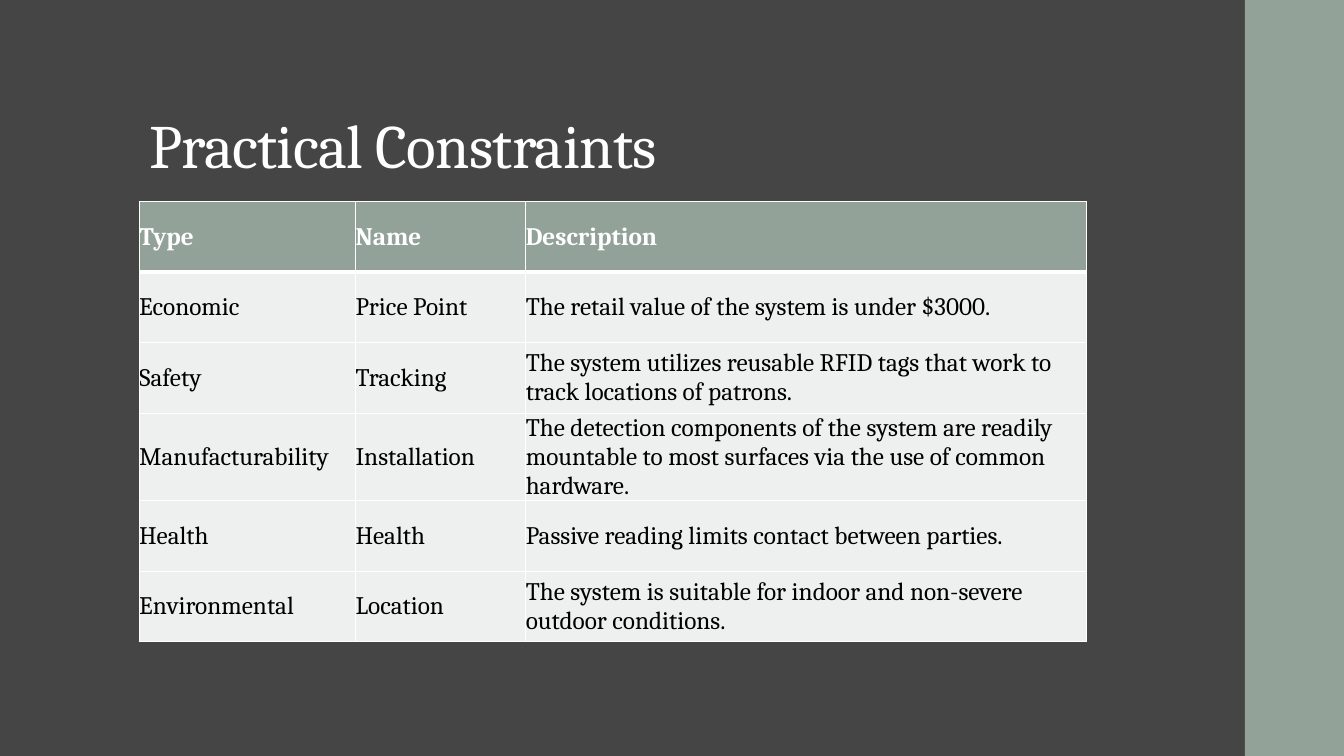
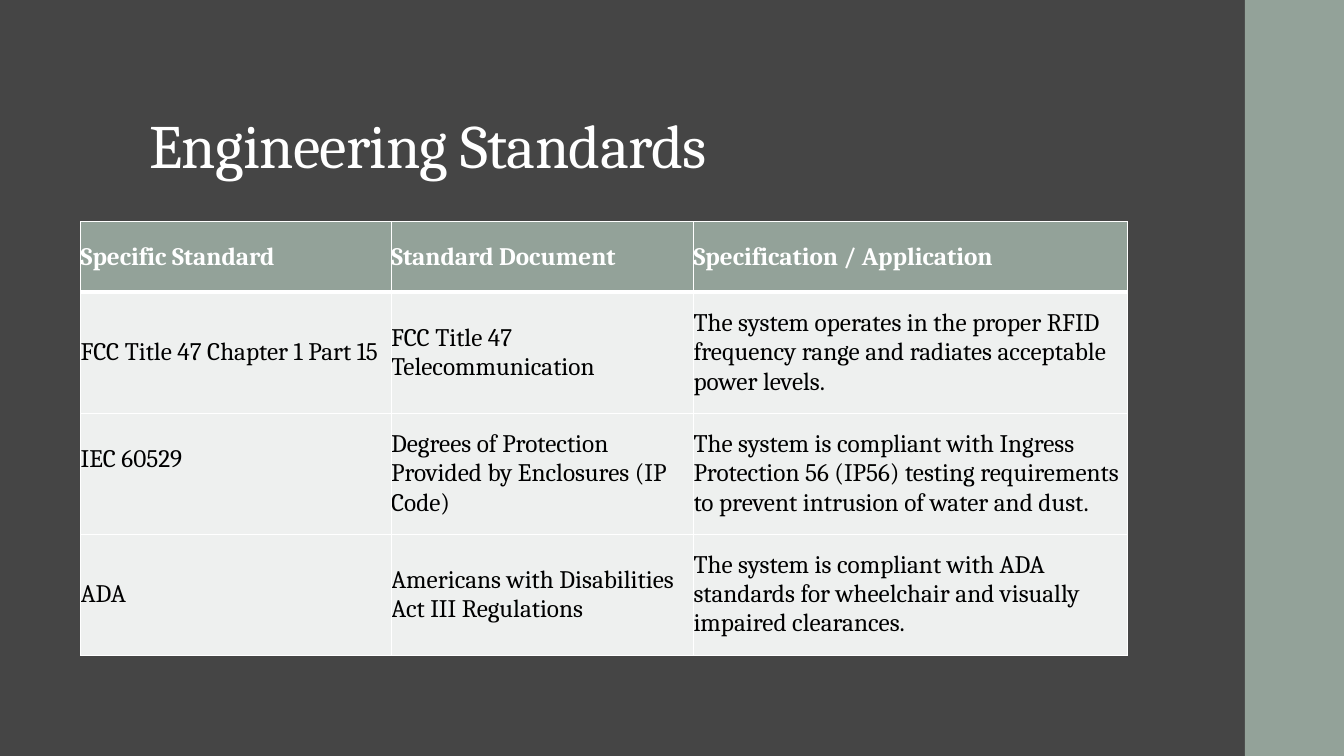
from lxml.etree import SubElement
from pptx import Presentation
from pptx.dml.color import RGBColor
from pptx.enum.shapes import MSO_SHAPE as Shape
from pptx.enum.text import MSO_ANCHOR as Anchor, MSO_AUTO_SIZE as AutoSize, PP_ALIGN as Align
from pptx.oxml.ns import qn
from pptx.util import Pt

CHARCOAL = RGBColor(0x45, 0x45, 0x45)
SAGE = RGBColor(0x93, 0xA2, 0x99)
MIST = RGBColor(0xEE, 0xF0, 0xEF)
WHITE = RGBColor(0xFF, 0xFF, 0xFF)
BLACK = RGBColor(0x00, 0x00, 0x00)

FONT = "Cambria"
PAGE_WIDTH, PAGE_HEIGHT = 960, 540
BAND_LEFT = 889.2
TITLE_BOX = (99.4, 28.8, 763.2, 104.4)
HEADER_HEIGHT = 50.4
RULE, HEADER_RULE = 1, 3

CONSTRAINTS = [
    ("Type", "Name", "Description"),
    ("Economic", "Price Point", "The retail value of the system is under $3000."),
    ("Safety", "Tracking",
     "The system utilizes reusable RFID tags that work to track locations of patrons."),
    ("Manufacturability", "Installation",
     "The detection components of the system are readily mountable to most surfaces "
     "via the use of common hardware."),
    ("Health", "Health", "Passive reading limits contact between parties."),
    ("Environmental", "Location",
     "The system is suitable for indoor and non-severe outdoor conditions."),
]

STANDARDS = [
    ("Specific Standard", "Standard Document", "Specification / Application"),
    ("FCC Title 47 Chapter 1 Part 15", "FCC Title 47 Telecommunication",
     "The system operates in the proper RFID frequency range and radiates acceptable "
     "power levels."),
    ("IEC 60529", "Degrees of Protection Provided by Enclosures (IP Code)",
     "The system is compliant with Ingress Protection 56 (IP56) testing requirements "
     "to prevent intrusion of water and dust."),
    ("ADA", "Americans with Disabilities Act III Regulations",
     "The system is compliant with ADA standards for wheelchair and visually impaired "
     "clearances."),
]


def add_run(para, text, size, color, bold=False):
    run = para.add_run()
    run.text = text
    run.font.name = FONT
    run.font.size = Pt(size)
    run.font.bold = bold
    run.font.color.rgb = color
    return run


def add_page(deck, title):
    """Add a titled page with the side band."""
    page = deck.slides.add_slide(deck.slide_layouts[5])
    box = page.shapes.title
    box.left, box.top, box.width, box.height = map(Pt, TITLE_BOX)
    frame = box.text_frame
    frame.auto_size = AutoSize.NONE
    frame.vertical_anchor = Anchor.BOTTOM
    para = frame.paragraphs[0]
    para.alignment = Align.LEFT
    para.line_spacing = 0.9
    run = add_run(para, title, 44, WHITE)
    run.font._element.set("spc", "-50")

    band = page.shapes.add_shape(Shape.RECTANGLE, Pt(BAND_LEFT), 0,
                                 Pt(PAGE_WIDTH - BAND_LEFT), Pt(PAGE_HEIGHT))
    band.shadow.inherit = False
    band.fill.solid()
    band.fill.fore_color.rgb = SAGE
    band.line.fill.background()
    return page


def set_borders(cell, top, bottom):
    """Draw white cell borders; top and bottom are widths in points."""
    properties = cell._tc.get_or_add_tcPr()
    for side, width in (("L", RULE), ("R", RULE), ("T", top), ("B", bottom)):
        line = SubElement(properties, qn(f"a:ln{side}"), w=str(Pt(width)))
        fill = SubElement(line, qn("a:solidFill"))
        SubElement(fill, qn("a:srgbClr"), val=str(WHITE))


def fill_cell(cell, text, row):
    is_header = row == 0
    cell.margin_left = cell.margin_right = cell.margin_top = cell.margin_bottom = 0
    cell.vertical_anchor = Anchor.MIDDLE
    set_borders(cell, HEADER_RULE if row == 1 else RULE,
                HEADER_RULE if is_header else RULE)
    cell.fill.solid()
    cell.fill.fore_color.rgb = SAGE if is_header else MIST
    add_run(cell.text_frame.paragraphs[0], text, 18,
            WHITE if is_header else BLACK, is_header)


def add_grid(page, left, top, widths, row_height, rows):
    heights = [HEADER_HEIGHT] + [row_height] * (len(rows) - 1)
    table = page.shapes.add_table(len(rows), len(widths), Pt(left), Pt(top),
                                  Pt(sum(widths)), Pt(sum(heights))).table
    for column, width in zip(table.columns, widths):
        column.width = Pt(width)
    for index, (height, texts) in enumerate(zip(heights, rows)):
        table.rows[index].height = Pt(height)
        for column, text in enumerate(texts):
            fill_cell(table.cell(index, column), text, index)
    return table


def main():
    deck = Presentation()
    deck.slide_width, deck.slide_height = Pt(PAGE_WIDTH), Pt(PAGE_HEIGHT)
    background = deck.slide_master.background.fill
    background.solid()
    background.fore_color.rgb = CHARCOAL

    page = add_page(deck, "Practical Constraints")
    add_grid(page, 99.4, 144, (154.6, 121.6, 400.4), 50.4, CONSTRAINTS)

    page = add_page(deck, "Engineering Standards")
    table = add_grid(page, 57.6, 158.4, (221.8, 216, 310.2), 86.4, STANDARDS)
    table.cell(2, 0).margin_bottom = Pt(20)  # the IEC entry sits above the middle

    deck.save("out.pptx")


if __name__ == "__main__":
    main()
